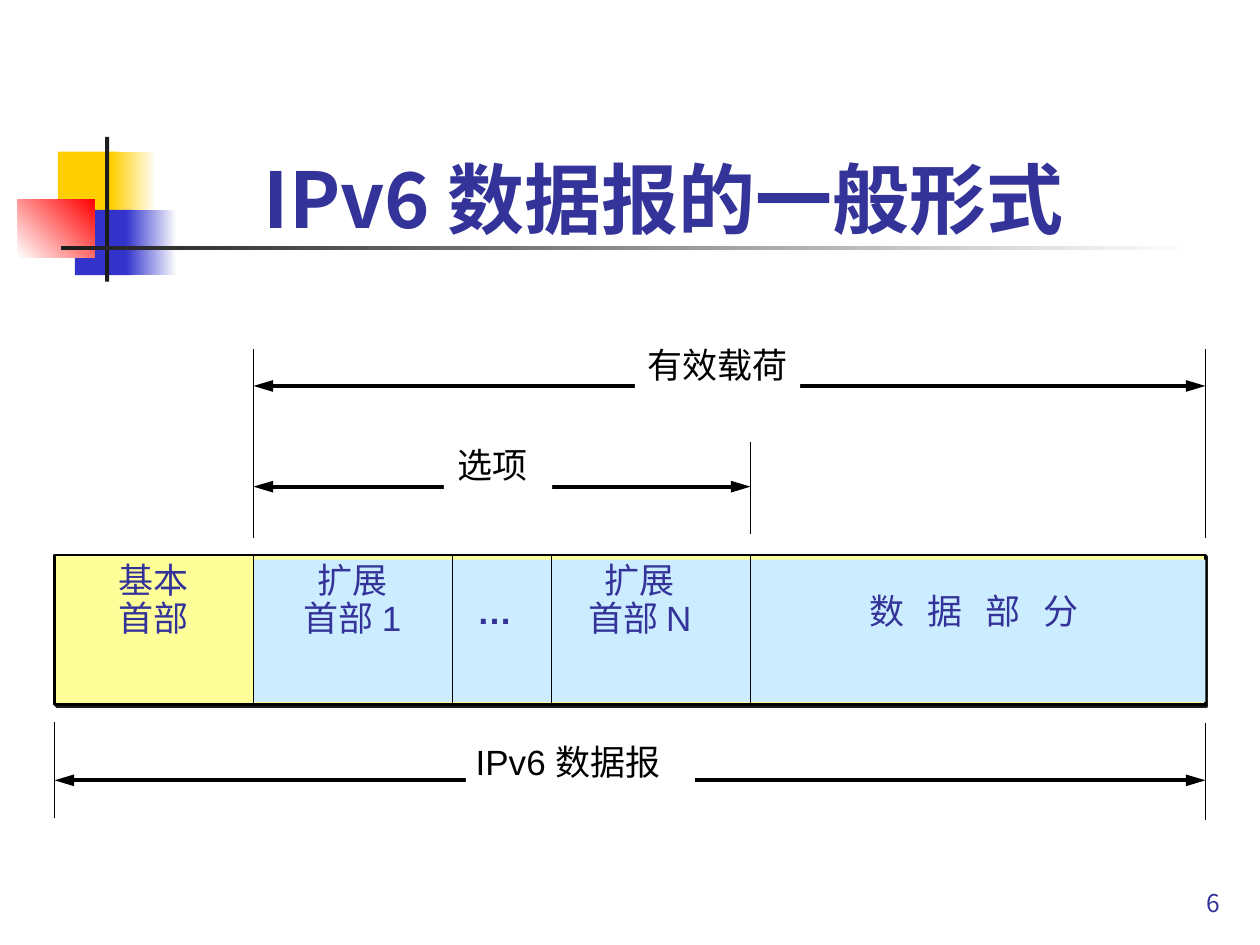
from dataclasses import dataclass
from lxml.etree import SubElement as Sub
from pptx import Presentation
from pptx.dml.color import RGBColor as Rgb
from pptx.enum.shapes import MSO_CONNECTOR as Link, MSO_SHAPE as Kind
from pptx.enum.text import MSO_ANCHOR as Anchor, MSO_AUTO_SIZE as Auto, PP_ALIGN as Align
from pptx.oxml.ns import qn
from pptx.util import Cm, Pt


@dataclass(frozen=True)
class Theme:
    ink: str = "333399"
    black: str = "000000"
    white: str = "FFFFFF"
    dark: str = "1C1C1C"
    gold: str = "FFCF01"
    blue: str = "3333CC"
    red: str = "FF0000"
    cream: str = "FFFF99"
    sky: str = "CCECFF"
    sans: str = "Arial"
    hans: str = "Noto Sans CJK JP"
    title: int = 44
    body: int = 20
    small: int = 14
    thin: float = 0.75
    frame: float = 1.5
    thick: float = 2.25


LOOK = Theme()
LEFT, BASE, EXT, DOTS, DATA, RIGHT = 1.1, 5.11, 9.12, 11.12, 15.13, 24.3
TOP, BOTTOM = 11.19, 14.22


def apply(item, values):
    for name, value in values.items():
        setattr(item, name, value)


def place(shape, box):
    apply(shape, dict(zip(("left", "top", "width", "height"), map(Cm, box))))


def write(shape, lines, size=LOOK.body, color=LOOK.ink, face=LOOK.sans, bold=False,
          align=Align.LEFT, anchor=Anchor.TOP, wrap=False, auto=Auto.SHAPE_TO_FIT_TEXT,
          lead=None, track=0):
    frame = shape.text_frame
    frame.text = "\n".join(lines)
    apply(frame, {"word_wrap": wrap, "auto_size": auto, "vertical_anchor": anchor})
    for para in frame.paragraphs:
        apply(para, {"alignment": align, "line_spacing": lead})
        for run in para.runs:
            apply(run.font, {"size": Pt(size), "bold": bold, "name": face})
            run.font.color.rgb = Rgb.from_string(color)
            props = run.font._element
            Sub(props, qn("a:ea")).set("typeface", LOOK.hans)
            if track:
                props.set("spc", str(track))


def label(slide, box, lines, **style):
    shape = slide.shapes.add_textbox(*map(Cm, box))
    write(shape, lines, **style)


def block(slide, box, color, end=None, angle=0):
    shape = slide.shapes.add_shape(Kind.RECTANGLE, *map(Cm, box))
    shape.shadow.inherit = False
    shape.line.fill.background()
    if end:
        shape.fill.gradient()
        shape.fill.gradient_angle = angle
        for stop, tint in zip(shape.fill.gradient_stops, (color, end)):
            stop.color.rgb = Rgb.from_string(tint)
    else:
        shape.fill.solid()
        shape.fill.fore_color.rgb = Rgb.from_string(color)
    return shape


def rule(slide, start, stop, width=LOOK.thin, heads=False):
    line = slide.shapes.add_connector(Link.STRAIGHT, *map(Cm, start + stop))
    line.line.width = Pt(width)
    line.line.color.rgb = Rgb.from_string(LOOK.black)
    props = line._element.spPr
    if heads:
        for tag in ("a:headEnd", "a:tailEnd"):
            tip = Sub(props.find(qn("a:ln")), qn(tag))
            for name, value in {"type": "triangle", "w": "med", "len": "lg"}.items():
                tip.set(name, value)
    Sub(props, qn("a:effectLst"))


def span(slide, left, right, y, gap, box, words):
    rule(slide, (left, y), (right, y), LOOK.thick, True)
    block(slide, gap, LOOK.white)
    label(slide, box, [words], color=LOOK.black)


def decor(slide):
    for box, *fill in (
        ((1.17, 3.06, 1.22, 1.32), LOOK.gold),
        ((2.24, 3.06, 0.91, 1.32), LOOK.gold, LOOK.white),
        ((1.51, 4.23, 1.17, 1.32), LOOK.blue),
        ((2.54, 4.23, 1.02, 1.32), LOOK.blue, LOOK.white),
        ((0.36, 4.02, 1.55, 1.17), LOOK.white, LOOK.red, 45),
        ((2.12, 2.76, 0.08, 2.92), LOOK.dark),
        ((1.23, 4.95, 22.86, 0.09), LOOK.dark, LOOK.white),
    ):
        block(slide, box, *fill)


def head(slide):
    title = slide.shapes.title
    place(title, (3.76, 2.94, 19.25, 2.11))
    write(title, ["IPv6 数据报的一般形式"], size=LOOK.title, face=LOOK.hans, bold=True,
          align=Align.CENTER, anchor=Anchor.BOTTOM, wrap=True, auto=Auto.NONE)
    label(slide, (19.56, 17.34, 5.28, 1.27), ["6"], size=LOOK.small, face=LOOK.hans,
          align=Align.RIGHT, anchor=Anchor.BOTTOM, wrap=True, auto=Auto.NONE)


def packet(slide):
    frame = block(slide, (LEFT, TOP, RIGHT - LEFT, 3.02), LOOK.cream)
    frame.line.width = Pt(LOOK.frame)
    frame.line.color.rgb = Rgb.from_string(LOOK.black)
    cast = Sub(frame._element.spPr.find(qn("a:effectLst")), qn("a:outerShdw"))
    for name, value in {"dist": Pt(1.4), "dir": 2700000, "algn": "ctr"}.items():
        cast.set(name, str(value))
    Sub(cast, qn("a:srgbClr")).set("val", LOOK.dark)
    block(slide, (BASE, 11.28, RIGHT - BASE, 2.87), LOOK.sky)
    for x in (BASE, EXT, DOTS, DATA):
        rule(slide, (x, TOP), (x, BOTTOM))
    for x, width, lines in (
        (1.99, 2.2, ["基本", "首部"]),
        (5.61, 3, ["扩展", "首部 1"]),
        (11.4, 3, ["扩展", "首部 N"]),
    ):
        label(slide, (x, 11.23, width, 1.78), lines, align=Align.CENTER, lead=0.9)
    label(slide, (9.37, 11.76, 1.2, 1.12), ["…"], bold=True)
    label(slide, (17.27, 11.76, 5, 1.12), ["数 据 部 分"], track=440)


def ranges(slide):
    for x, top, bottom in ((BASE, 7.04, 10.85), (RIGHT, 7.04, 10.85), (DATA, 8.92, 10.77),
                           (LEFT, 14.55, 16.48), (RIGHT, 14.58, 16.54)):
        rule(slide, (x, top), (x, bottom))
    span(slide, BASE, DATA, 9.81, (8.95, 8.92, 2.18, 1.6), (8.98, 8.81, 2.2, 1.12), "选项")
    span(slide, LEFT, RIGHT, 15.73, (9.39, 14.83, 4.62, 1.65), (9.34, 14.8, 4.7, 1.12),
         "IPv6 数据报")
    load = (12.8, 6.8, 3.33, 1.12)
    span(slide, BASE, RIGHT, 7.78, load, load, "有效载荷")


def main():
    deck = Presentation()
    apply(deck, {"slide_width": Cm(25.4), "slide_height": Cm(19.05)})
    slide = deck.slides.add_slide(deck.slide_layouts[5])
    for draw in (decor, head, packet, ranges):
        draw(slide)
    deck.save("out.pptx")


if __name__ == "__main__":
    main()
